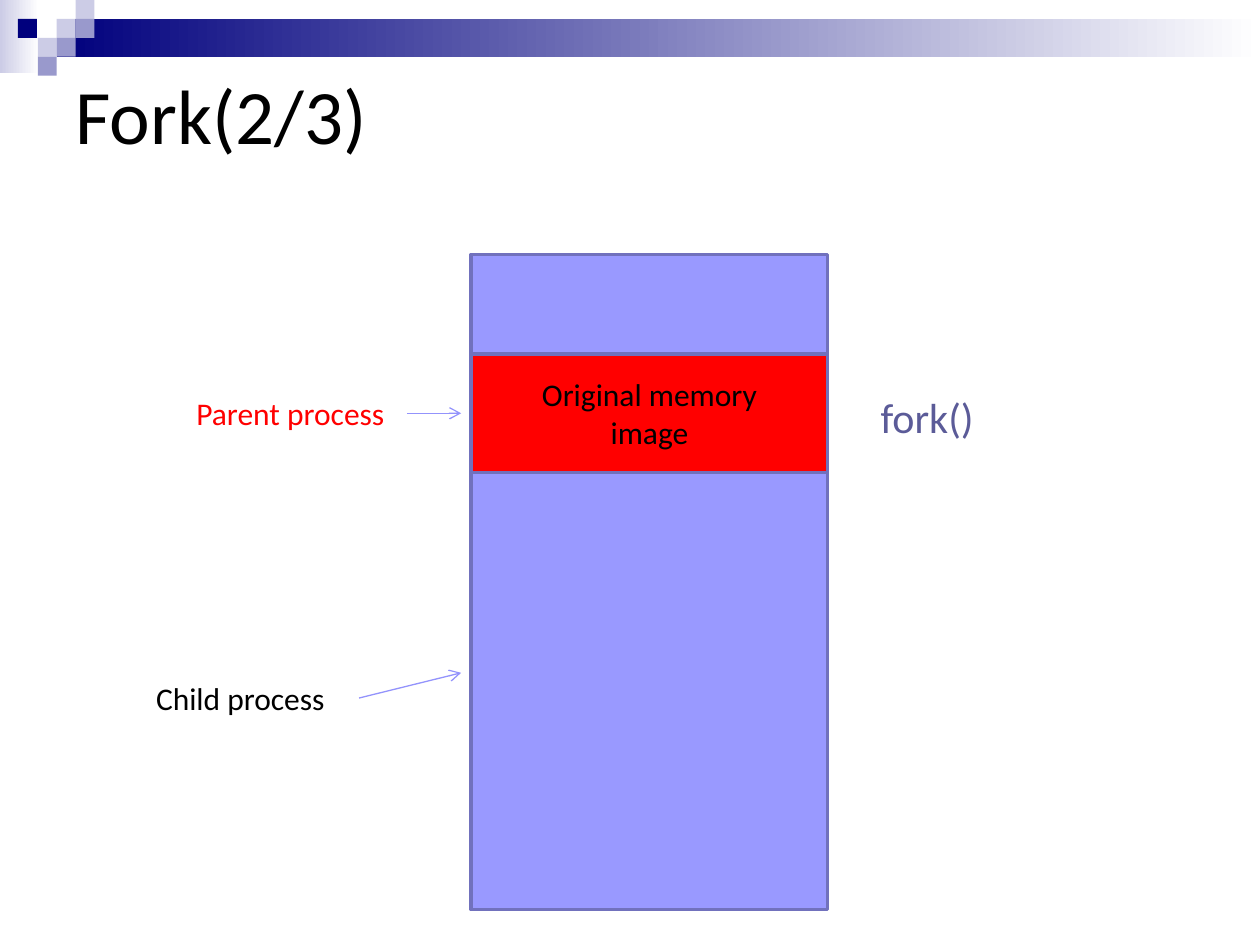
from pptx import Presentation
from pptx.dml.color import RGBColor
from pptx.enum.shapes import MSO_CONNECTOR, MSO_SHAPE
from pptx.enum.text import MSO_ANCHOR, MSO_AUTO_SIZE, PP_ALIGN
from pptx.oxml.ns import qn
from pptx.util import Inches, Pt
from lxml import etree

RECTANGLE = MSO_SHAPE.RECTANGLE
STRAIGHT = MSO_CONNECTOR.STRAIGHT
MIDDLE = MSO_ANCHOR.MIDDLE
LEFT, CENTER = PP_ALIGN.LEFT, PP_ALIGN.CENTER
FIT_SHAPE, FIT_NONE = MSO_AUTO_SIZE.SHAPE_TO_FIT_TEXT, MSO_AUTO_SIZE.NONE
TITLE_ONLY = 5
COLUMNS, ROWS = 100, 75
TILE = 1.5

COLORS = {
    "black": "000000",
    "white": "FFFFFF",
    "navy": "00007D",
    "pale": "CCCCE6",
    "lavender": "9999CC",
    "memory": "9999FF",
    "outline": "7171BD",
    "arrow": "9393FC",
    "red": "FF0000",
    "call": "5B5B98",
}


class SlideBuilder:
    """Draws on one slide; lengths are columns and rows of a 100 x 75 grid."""

    font_name = "Calibri"

    def __init__(self, presentation):
        self.column = presentation.slide_width / COLUMNS
        self.row = presentation.slide_height / ROWS
        self.slide = presentation.slides.add_slide(presentation.slide_layouts[TITLE_ONLY])

    def color(self, name):
        return RGBColor.from_string(COLORS[name])

    def place(self, *cells):
        """Turn alternating columns and rows into lengths."""
        return [round(cell * unit) for cell, unit in zip(cells, (self.column, self.row) * 2)]

    def set_text(self, frame, lines, size, color, alignment=LEFT):
        frame.text = "\n".join(lines)
        for paragraph in frame.paragraphs:
            paragraph.alignment = alignment
            paragraph.font.name = self.font_name
            paragraph.font.size = Pt(size)
            paragraph.font.color.rgb = self.color(color)

    def title(self, text, *cells):
        title = self.slide.shapes.title
        title.left, title.top, title.width, title.height = self.place(*cells)
        title.text_frame.vertical_anchor = MIDDLE
        title.text_frame.auto_size = FIT_NONE
        self.set_text(title.text_frame, [text], 44, "black")

    def rectangle(self, *cells, line=None):
        shape = self.slide.shapes.add_shape(RECTANGLE, *self.place(*cells))
        shape.shadow.inherit = False
        if line:
            shape.line.color.rgb = self.color(line)
            shape.line.width = Pt(2)
        else:
            shape.line.fill.background()
        return shape

    def box(self, *cells, fill, line=None, lines=()):
        shape = self.rectangle(*cells, line=line)
        shape.fill.solid()
        shape.fill.fore_color.rgb = self.color(fill)
        if lines:
            shape.text_frame.vertical_anchor = MIDDLE
            self.set_text(shape.text_frame, lines, 18, "black", CENTER)

    def fading_bar(self, *cells, start):
        fill = self.rectangle(*cells).fill
        fill.gradient()
        fill.gradient_angle = 0
        for stop, name in zip(fill.gradient_stops, (start, "white")):
            stop.color.rgb = self.color(name)

    def label(self, text, *cells, color, size=18, wrap=False):
        frame = self.slide.shapes.add_textbox(*self.place(*cells)).text_frame
        frame.word_wrap = wrap
        frame.auto_size = FIT_SHAPE
        self.set_text(frame, [text], size, color)

    def arrow(self, *cells):
        connector = self.slide.shapes.add_connector(STRAIGHT, *self.place(*cells))
        connector.line.color.rgb = self.color("arrow")
        connector.line.width = Pt(0.75)
        properties = connector._element.spPr
        etree.SubElement(properties.find(qn("a:ln")), qn("a:tailEnd"), type="arrow")
        etree.SubElement(properties, qn("a:effectLst"))


def draw_header(builder):
    builder.fading_bar(0, 0, 3.1, 5.8, start="pale")
    builder.fading_bar(3 * TILE, TILE, COLUMNS - 3 * TILE, 2 * TILE, start="navy")
    tiles = [
        (3, 1, "pale"), (4, 0, "pale"), (4, 1, "lavender"), (2, 2, "pale"),
        (0.95, 1, "navy"), (3, 2, "lavender"), (2, 3, "lavender"),
    ]
    for column, row, fill in tiles:
        builder.box(column * TILE, row * TILE, TILE, TILE, fill=fill)


def draw_memory(builder):
    left, width = 37.4, 28.3
    builder.box(left, 20.2, width, 52, fill="memory", line="outline")
    builder.box(left, 28.1, width, 9.4, fill="red", line="outline",
                lines=["Original memory", "image"])


def draw_processes(builder):
    arrow_end = 36.6
    builder.label("Parent process", 14.6, 30.8, 17.8, 4, color="red")
    builder.arrow(32.3, 32.8, arrow_end, 32.8)
    builder.label("Child process", 11.4, 53.4, 18.6, 4, color="black", wrap=True)
    builder.arrow(28.5, 55.4, arrow_end, 53.4)
    builder.label("fork()", 68.9, 30.6, 9.5, 5, color="call", size=24)


def main():
    presentation = Presentation()
    presentation.slide_width, presentation.slide_height = Inches(10), Inches(7.5)
    builder = SlideBuilder(presentation)
    draw_header(builder)
    builder.title("Fork(2/3)", 5, 5, 90, 8.1)
    draw_memory(builder)
    draw_processes(builder)
    presentation.save("out.pptx")


if __name__ == "__main__":
    main()
